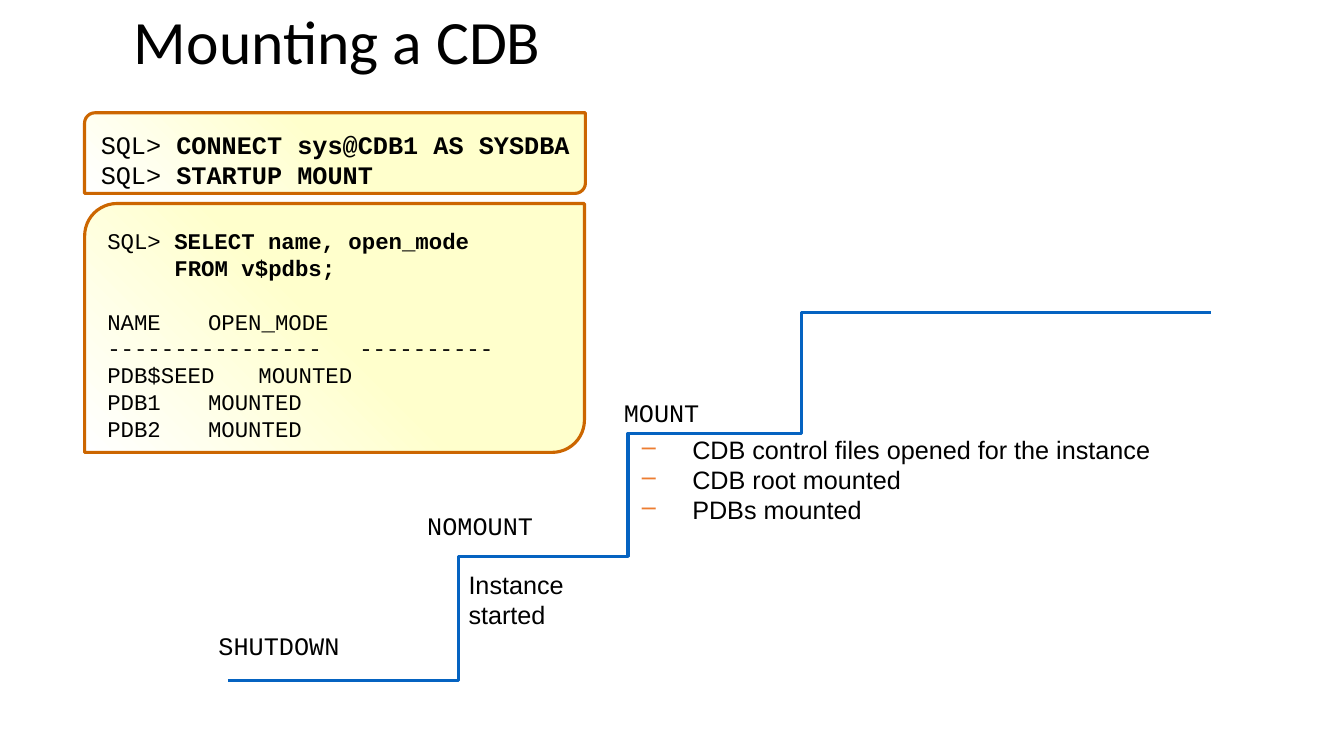
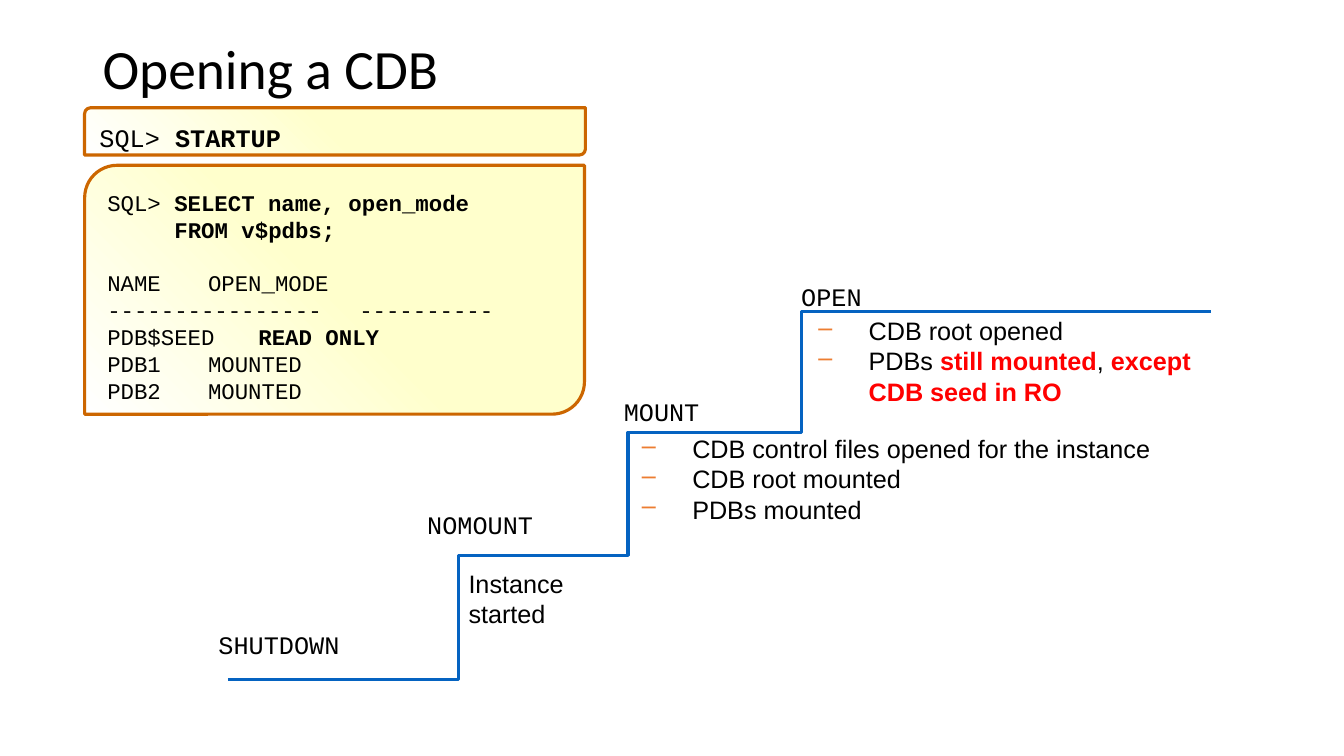
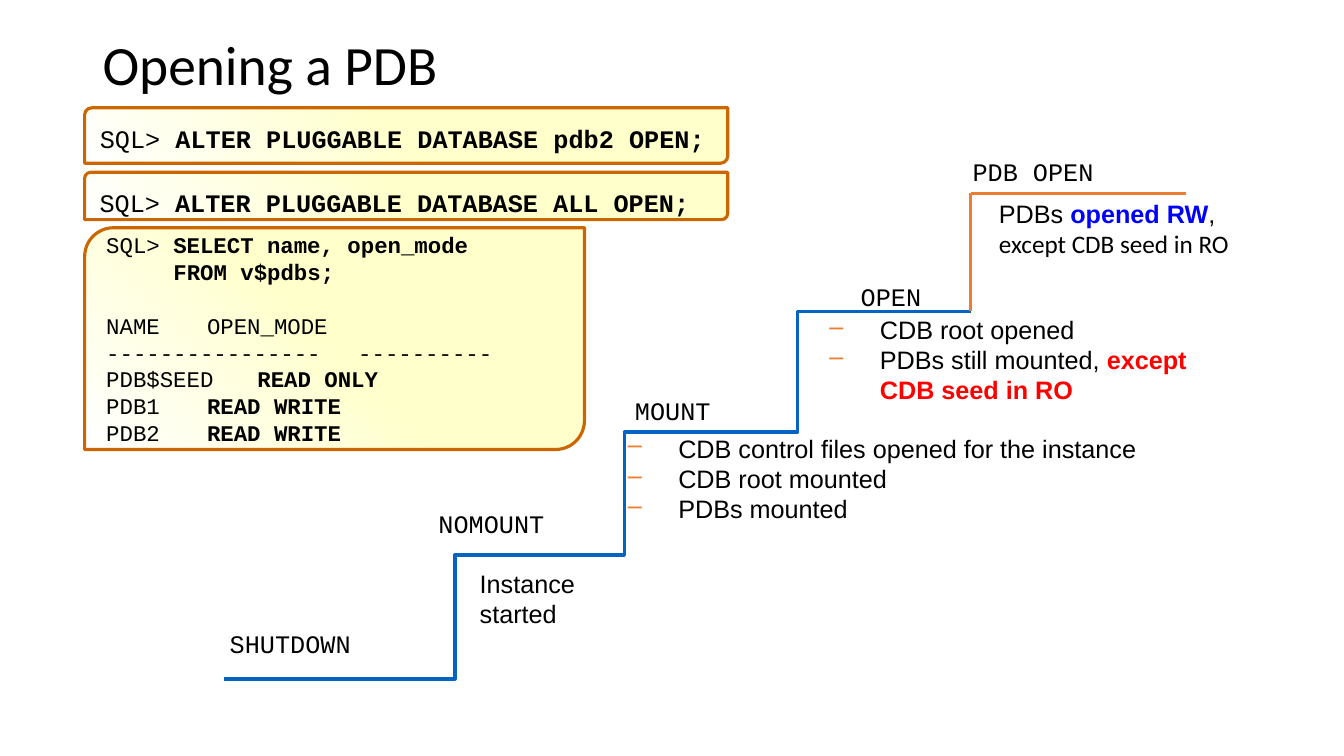
"""Build three slides on the startup stages of a container database."""
from lxml.etree import SubElement
from pptx import Presentation
from pptx.dml.color import RGBColor
from pptx.enum.shapes import MSO_CONNECTOR, MSO_SHAPE
from pptx.enum.text import MSO_ANCHOR, PP_ALIGN
from pptx.oxml.ns import qn
from pptx.util import Pt

BLACK = RGBColor(0x00, 0x00, 0x00)
WHITE = RGBColor(0xFF, 0xFF, 0xFF)
CREAM = RGBColor(0xFF, 0xFF, 0xCC)
BROWN = RGBColor(0xCC, 0x66, 0x00)
BLUE = RGBColor(0x05, 0x63, 0xC1)
ORANGE = RGBColor(0xED, 0x7D, 0x31)
RED = RGBColor(0xFF, 0x00, 0x00)
BRIGHT_BLUE = RGBColor(0x00, 0x00, 0xFF)

BODY = {"name": "Arial", "size": Pt(18)}
MONO = {"name": "Courier New", "size": Pt(18)}
RESULT = {"name": "Courier New", "size": Pt(16)}
CODE_FRAME = {"word_wrap": True, "margin_left": Pt(9.4), "margin_top": Pt(9.4),
              "margin_right": Pt(1.4), "margin_bottom": 0}
LINE_WIDTH = Pt(2.25)

STAIR_X = (162.7, 327.6, 448.6, 572.4)
STAIR_Y = (486, 397.4, 309.6, 223.2)
LABELS = (("SHUTDOWN", 149, 446.4), ("NOMOUNT", 298.1, 360.7), ("MOUNT", 438.5, 280))
MOUNT_ITEMS = (["CDB control files opened for the instance"], ["CDB root mounted"],
               ["PDBs mounted"])


def set_all(obj, values):
    for name, value in values.items():
        setattr(obj, name, value)


def bold(text, color=BLACK):
    return text, True, color


def add_para(tf, runs, font, left=0, hang=0, bullet=None, tab=None, before=0, spacing=1.0):
    p = tf.add_paragraph() if tf.text else tf.paragraphs[0]
    set_all(p, {"alignment": PP_ALIGN.LEFT, "space_before": Pt(before), "line_spacing": spacing})
    pPr = p._p.get_or_add_pPr()
    pPr.set("marL", str(Pt(left)))
    pPr.set("indent", str(-Pt(hang)))
    if bullet:
        clr = SubElement(SubElement(pPr, qn("a:buClr")), qn("a:srgbClr"))
        clr.set("val", str(ORANGE))
        SubElement(pPr, qn("a:buChar")).set("char", bullet)
    if tab:
        stop = SubElement(SubElement(pPr, qn("a:tabLst")), qn("a:tab"))
        stop.set("pos", str(Pt(tab)))
        stop.set("algn", "l")
    for run in runs:
        text, is_bold, color = (run, False, BLACK) if isinstance(run, str) else run
        for i, part in enumerate(text.split("\n")):
            if i:
                p.add_line_break()
            r = p.add_run()
            r.text = part
            set_all(r.font, {**font, "bold": is_bold})
            r.font.color.rgb = color


def add_box(s, x, y, w, h):
    tf = s.shapes.add_textbox(Pt(x), Pt(y), Pt(w), Pt(h)).text_frame
    tf.word_wrap = True
    return tf


def add_title(s, text, x, y, w, h, size=39.6):
    tf = add_box(s, x, y, w, h)
    tf.vertical_anchor = MSO_ANCHOR.MIDDLE
    add_para(tf, [text], {"name": "Calibri", "size": Pt(size)}, spacing=0.9)


def add_label(s, text, x, y, font=MONO):
    add_para(add_box(s, x, y, 180, 28.8), [text], font)


def add_details(s, x, y, w, items, bullet="–"):
    tf = add_box(s, x, y, w, 20 + 22 * len(items))
    for runs in items:
        add_para(tf, runs, BODY, left=45.4, hang=36, bullet=bullet)


def add_code_box(s, x, y, w, h):
    sp = s.shapes.add_shape(MSO_SHAPE.ROUND_2_DIAG_RECTANGLE, Pt(x), Pt(y), Pt(w), Pt(h))
    sp.adjustments[0] = 0.13
    sp.shadow.inherit = False
    sp.fill.gradient()
    sp.fill.gradient_angle = 225
    for stop, position, color in zip(sp.fill.gradient_stops, (0.5, 1.0), (CREAM, WHITE)):
        stop.position = position
        stop.color.rgb = color
    sp.line.color.rgb = BROWN
    sp.line.width = LINE_WIDTH
    set_all(sp.text_frame, {**CODE_FRAME, "vertical_anchor": MSO_ANCHOR.TOP})
    return sp.text_frame


def add_commands(s, y, w, h, *commands):
    tf = add_code_box(s, 60.4, y, w, h)
    for command in commands:
        add_para(tf, ["SQL> ", bold(command)], MONO, left=36, hang=36)


def add_query(s, y, h, *modes, top=9.4):
    tf = add_code_box(s, 60.5, y, 357, h)
    set_all(tf, {"vertical_anchor": MSO_ANCHOR.MIDDLE, "margin_top": Pt(top)})
    add_para(tf, ["SQL> ", bold("SELECT name, open_mode\nFROM v$pdbs;")], RESULT,
             left=48, hang=48)
    add_para(tf, ["NAME\tOPEN_MODE"], RESULT, tab=163.2, before=19.2)
    add_para(tf, ["-" * 16 + "\t" + "-" * 10], RESULT, tab=163.2)
    for name, mode in zip(("PDB$SEED", "PDB1", "PDB2"), modes):
        cell = mode if mode == "MOUNTED" else bold(mode)
        add_para(tf, [name + "\t", cell], RESULT, tab=163.2)


def add_stages(s, right, details_x, details_w, dx=0, label_dx=0, dy=0):
    xs = [x + dx for x in STAIR_X] + [right]
    ys = [y + dy for y in STAIR_Y]
    points = [(Pt(x), Pt(y)) for i, y in enumerate(ys) for x in xs[i:i + 2]]
    fb = s.shapes.build_freeform(*points[0])
    fb.add_line_segments(points[1:], close=False)
    sp = fb.convert_to_shape()
    sp.shadow.inherit = False
    sp.fill.background()
    sp.line.color.rgb = BLUE
    sp.line.width = LINE_WIDTH
    for text, x, y in LABELS:
        add_label(s, text, x + label_dx, y + dy)
    add_label(s, "Instance\nstarted", 327.6 + label_dx, 403.2 + dy, BODY)
    add_details(s, details_x, 306.7 + dy, details_w, MOUNT_ITEMS)


def add_line(s, x1, y1, x2, y2):
    c = s.shapes.add_connector(MSO_CONNECTOR.STRAIGHT, Pt(x1), Pt(y1), Pt(x2), Pt(y2))
    c.line.color.rgb = ORANGE
    c.line.width = LINE_WIDTH
    SubElement(c._element.spPr, qn("a:effectLst"))


def mounting_cdb(s):
    add_title(s, "Mounting a CDB", 88.6, -20.2, 743, 104.4, size=44)
    add_stages(s, 864.7, 442, 429)
    add_commands(s, 80.6, 357.8, 57.6, "CONNECT sys@CDB1 AS SYSDBA", "STARTUP MOUNT")
    add_query(s, 145.4, 177.8, "MOUNTED", "MOUNTED", "MOUNTED")


def opening_cdb(s):
    add_title(s, "Opening a CDB", 66.2, 28.8, 828, 44.6)
    add_stages(s, 864.7, 442, 413, dy=-0.7)
    add_label(s, "OPEN", 565.2, 197.3)
    add_details(s, 568, 221.8, 344, (
        ["CDB root opened"],
        ["PDBs ", bold("still mounted", RED), ", ", bold("except\nCDB seed in RO", RED)]))
    add_commands(s, 77, 357.8, 33.8, "STARTUP")
    add_query(s, 118.1, 177.8, "READ ONLY", "MOUNTED", "MOUNTED")


def opening_pdb(s):
    add_title(s, "Opening a PDB", 66.2, 28.8, 821.5, 38.9)
    add_stages(s, 693.4, 432, 456, dx=-2.6, label_dx=8, dy=-1)
    add_label(s, "OPEN", 607.7, 197.3)
    add_details(s, 576, 221, 312, (
        ["CDB root opened"],
        ["PDBs still mounted, ", bold("except CDB seed in RO", RED)]))
    add_line(s, 693.4, 138.2, 693.4, 222.2)
    add_line(s, 847.4, 138.2, 693.4, 138.2)
    add_label(s, "PDB OPEN", 687.6, 108)
    tf = add_box(s, 697, 138.2, 219.6, 59.8)
    add_para(tf, ["PDBs ", bold("opened RW", BRIGHT_BLUE), ","], BODY, left=45.4, hang=36)
    add_para(tf, ["except CDB seed in RO"], {**BODY, "name": "Calibri"}, left=45.4, hang=36)
    add_commands(s, 77, 459.4, 39.6, "ALTER PLUGGABLE DATABASE pdb2 OPEN;")
    add_commands(s, 123.1, 459.4, 33.8, "ALTER PLUGGABLE DATABASE ALL OPEN;")
    add_query(s, 162.7, 158.4, "READ ONLY", "READ WRITE", "READ WRITE", top=0)


def main():
    prs = Presentation()
    prs.slide_width, prs.slide_height = Pt(960), Pt(540)
    for build in (mounting_cdb, opening_cdb, opening_pdb):
        build(prs.slides.add_slide(prs.slide_layouts[6]))
    prs.save("out.pptx")


if __name__ == "__main__":
    main()
